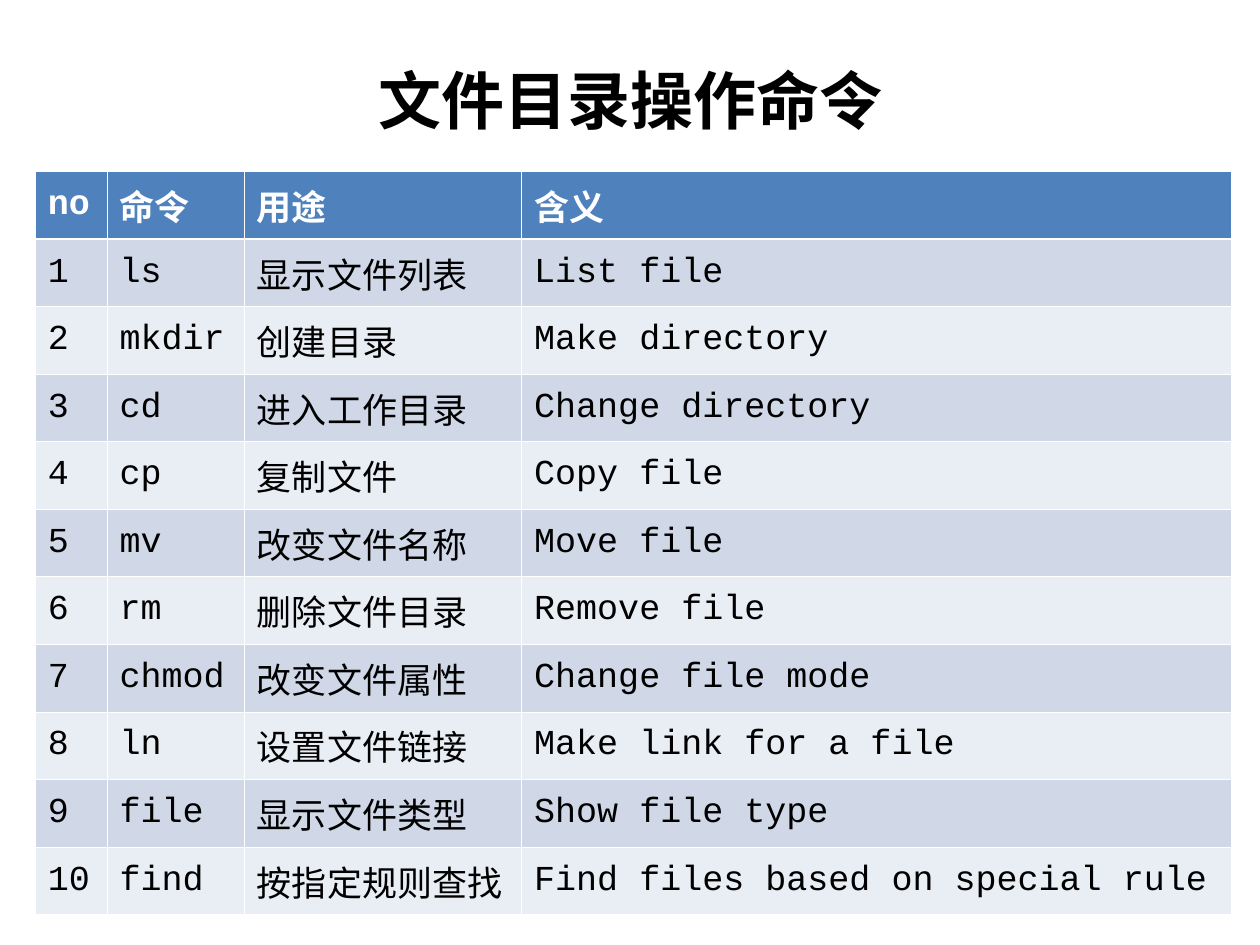
from lxml import etree
from pptx import Presentation
from pptx.dml.color import RGBColor
from pptx.enum.text import MSO_ANCHOR, MSO_AUTO_SIZE, PP_ALIGN
from pptx.oxml.ns import qn
from pptx.util import Inches, Pt

MIDDLE = MSO_ANCHOR.MIDDLE
NO_FIT = MSO_AUTO_SIZE.NONE
CENTER = PP_ALIGN.CENTER
TITLE_ONLY = 5

COLORS = {"header": "4F81BD", "odd": "D0D8E8", "even": "E9EDF4",
          "line": "FFFFFF", "light": "FFFFFF", "dark": "000000"}
TITLE_FONT = {"name": "Arial", "size": Pt(36), "bold": True}
CELL_FONT = {"name": "Courier New", "size": Pt(20)}
THIN, THICK = Pt(0.45), Pt(1.47)

HEADER = ("no", "命令", "用途", "含义")
COMMANDS = [
    ("ls", "显示文件列表", "List file"),
    ("mkdir", "创建目录", "Make directory"),
    ("cd", "进入工作目录", "Change directory"),
    ("cp", "复制文件", "Copy file"),
    ("mv", "改变文件名称", "Move file"),
    ("rm", "删除文件目录", "Remove file"),
    ("chmod", "改变文件属性", "Change file mode"),
    ("ln", "设置文件链接", "Make link for a file"),
    ("file", "显示文件类型", "Show file type"),
    ("find", "按指定规则查找", "Find files based on special rule"),
]
COLUMN_WIDTHS = (0.57, 1.09, 2.2, 5.63)
LEFT, TABLE_TOP, TABLE_HEIGHT = 0.28, 1.36, 5.9


class SlideBuilder:
    def __init__(self, deck):
        self.page = deck.slides.add_slide(deck.slide_layouts[TITLE_ONLY])

    def format_text(self, frame, text, color, values):
        para = frame.paragraphs[0]
        span = para.add_run()
        span.text = text
        for name, value in values.items():
            setattr(span.font, name, value)
        span.font.color.rgb = RGBColor.from_string(COLORS[color])
        return para

    def title(self, text, left, top, width, height):
        box = self.page.shapes.title
        place = {"left": left, "top": top, "width": width, "height": height}
        for name, value in place.items():
            setattr(box, name, Inches(value))
        frame = box.text_frame
        layout = {"auto_size": NO_FIT, "vertical_anchor": MIDDLE, "word_wrap": True,
                  "margin_left": Inches(0.14), "margin_right": Inches(0.14),
                  "margin_top": Inches(0.08), "margin_bottom": Inches(0.08)}
        for name, value in layout.items():
            setattr(frame, name, value)
        self.format_text(frame, text, "dark", TITLE_FONT).alignment = CENTER

    def borders(self, cell, widths):
        properties = cell._tc.get_or_add_tcPr()
        for index, (side, width) in enumerate(widths.items()):
            line = etree.Element(qn(f"a:{side}"), w=str(int(width)))
            fill = etree.SubElement(line, qn("a:solidFill"))
            etree.SubElement(fill, qn("a:srgbClr"), val=COLORS["line"])
            properties.insert(index, line)

    def cell(self, cell, text, row):
        is_header = row == 0
        fill = "header" if is_header else ("odd" if row % 2 else "even")
        cell.fill.solid()
        cell.fill.fore_color.rgb = RGBColor.from_string(COLORS[fill])
        cell.vertical_anchor = MIDDLE
        self.format_text(cell.text_frame, text, "light" if is_header else "dark",
                         {**CELL_FONT, "bold": is_header})
        # A thicker line parts the header from the body
        self.borders(cell, {"lnL": THIN, "lnR": THIN,
                            "lnT": THICK if row == 1 else THIN,
                            "lnB": THICK if is_header else THIN})

    def table(self, rows, widths, left, top, height):
        table = self.page.shapes.add_table(
            len(rows), len(widths), Inches(left), Inches(top),
            Inches(sum(widths)), Inches(height)).table
        for column, width in zip(table.columns, widths):
            column.width = Inches(width)
        for row, texts in enumerate(rows):
            for column, text in enumerate(texts):
                self.cell(table.cell(row, column), text, row)


def main():
    deck = Presentation()
    deck.slide_width, deck.slide_height = Inches(10), Inches(7.5)
    builder = SlideBuilder(deck)

    # Heading
    builder.title("文件目录操作命令", LEFT, 0.39, 9.45, 0.79)

    # Numbered command table
    rows = [HEADER] + [(str(number), *command)
                       for number, command in enumerate(COMMANDS, 1)]
    builder.table(rows, COLUMN_WIDTHS, LEFT, TABLE_TOP, TABLE_HEIGHT)

    deck.save("out.pptx")


if __name__ == "__main__":
    main()
